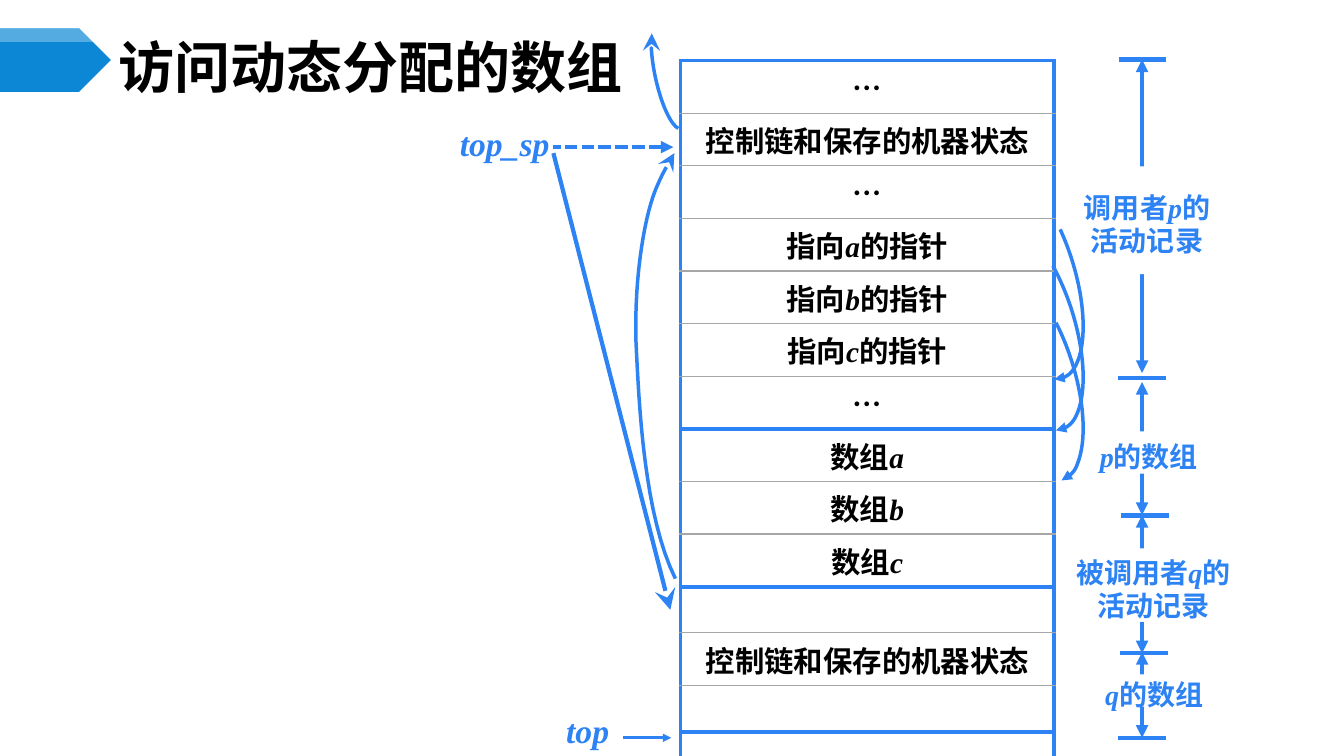
import pptx
import pptx.dml.color
import pptx.enum.dml
import pptx.enum.shapes
import pptx.enum.text
import pptx.oxml.ns
import pptx.util
from lxml import etree

Pt = pptx.util.Pt
hue = pptx.dml.color.RGBColor.from_string
qn = pptx.oxml.ns.qn
kinds = pptx.enum.shapes.MSO_SHAPE
anchors = pptx.enum.text.MSO_ANCHOR
aligns = pptx.enum.text.PP_ALIGN
BLUE = "2D83F4"
SANS = "Noto Sans CJK SC"
SERIF = "Times New Roman"


def write(frame, text, size=20, color=BLUE, align=aligns.CENTER, anchor=anchors.MIDDLE,
          inset=(7.2, 8.64, 7.2, 3.6), pitch=None):
    """Fill a frame with bold text; parts split by | are serif italic when Latin."""
    frame.word_wrap = True
    frame.vertical_anchor = anchor
    frame.margin_left, frame.margin_top, frame.margin_right, frame.margin_bottom = map(Pt, inset)
    para = frame.paragraphs[0]
    para.alignment = align
    if pitch:
        para.line_spacing = Pt(pitch)
    for part in text.split("|"):
        run = para.add_run()
        run.text = part
        font = run.font
        font.size, font.bold, font.italic = Pt(size), True, part.isascii()
        font.color.rgb = hue(color)
        font.name = SERIF if part.isascii() else SANS
        etree.SubElement(font._element, qn("a:ea")).set("typeface", SANS)


def stroke(shape, width, head=None, tail=None, dash=None):
    """Draw a shape's outline in blue, without shadow, with optional arrowheads."""
    shape.line.color.rgb = hue(BLUE)
    shape.line.width = Pt(width)
    if dash:
        shape.line.dash_style = dash
    for tag, kind in (("a:headEnd", head), ("a:tailEnd", tail)):
        if kind:
            tip = etree.SubElement(shape.line._get_or_add_ln(), qn(tag), type=kind)
            if kind == "stealth":
                tip.set("w", "lg")
                tip.set("len", "lg")
    etree.SubElement(shape._element.spPr, qn("a:effectLst"))


deck = pptx.Presentation()
deck.slide_width, deck.slide_height = Pt(960), Pt(540)
slide = deck.slides.add_slide(deck.slide_layouts[6])
shapes = slide.shapes
straight = pptx.enum.shapes.MSO_CONNECTOR.STRAIGHT

# Title and its marker
for top, high, color in ((20.2, 45.4, "0B87D6"), (20.5, 9.4, "FFFFFF")):
    mark = shapes.add_shape(kinds.PENTAGON, Pt(0), Pt(top), Pt(79.2), Pt(high))
    mark.shadow.inherit = False
    mark.fill.solid()
    mark.fill.fore_color.rgb = hue(color)
    mark.line.fill.background()
glow = mark._element.spPr.find(qn("a:solidFill"))[0]
etree.SubElement(glow, qn("a:alpha")).set("val", "30000")
title = shapes.add_textbox(Pt(79.9), Pt(28.7), Pt(832), Pt(37.4))
write(title.text_frame, "访问动态分配的数组", size=40, color="000000",
      align=aligns.LEFT, inset=(5, 3, 5, 3))

# Stack of records
rows = ["…", "控制链和保存的机器状态", "…", "指向|a|的指针", "指向|b|的指针", "指向|c|的指针", "…",
        "数组|a", "数组|b", "数组|c", "", "控制链和保存的机器状态", "", ""]
bold = (0, 7, 10, 13, 14)  # row edges drawn thick
highs = [37.6 if text else 33 for text in rows[:-1]] + [58.3]
stack = shapes.add_table(len(rows), 1, Pt(486), Pt(43.2), Pt(267.1), Pt(sum(highs))).table
stack.first_row = stack.horz_banding = False
for i, text in enumerate(rows):
    stack.rows[i].height = Pt(highs[i])
    cell = stack.cell(i, 0)
    cell.fill.background()
    if text:
        write(cell.text_frame, text, size=21, color="000000", inset=(7.2, 3.6, 7.2, 3.6))
        cell.vertical_anchor = anchors.MIDDLE
    props = cell._tc.get_or_add_tcPr()
    edges = (("L", True), ("R", True), ("T", i in bold), ("B", i + 1 in bold))
    for spot, (side, thick) in enumerate(edges):
        edge = etree.Element(qn("a:ln" + side), w=str(Pt(3 if thick else 1)))
        fill = etree.SubElement(edge, qn("a:solidFill"))
        etree.SubElement(fill, qn("a:srgbClr")).set("val", BLUE if thick else "A6A6A6")
        props.insert(spot, edge)

# Control link from the callee back to the caller
knots = [(482.4, 413.3), (460.1, 367.9), (456.5, 290.9), (454.3, 244.1), (452.9, 196.6),
         (460.8, 150.5), (470.2, 131), (478.8, 111.6), (480.2, 116.6), (481.7, 109.4)]
curve = []
for k in range(0, 9, 3):
    for step in range(1, 17):
        t = step / 16
        mix = ((1 - t) ** 3, 3 * t * (1 - t) ** 2, 3 * t * t * (1 - t), t ** 3)
        curve.append([Pt(sum(m * p[axis] for m, p in zip(mix, knots[k:k + 4]))) for axis in (0, 1)])
pen = shapes.build_freeform(Pt(knots[0][0]), Pt(knots[0][1]))
pen.add_line_segments(curve, close=False)
link = pen.convert_to_shape()
link.fill.background()
stroke(link, 2.5, tail="stealth")

# Straight lines: x1, y1, x2, y2, width, head, tail, dash
dots = pptx.enum.dml.MSO_LINE.SQUARE_DOT
tri = "triangle"
lines = [(479.5, 527, 445, 527, 2, tri, None, None),
         (478.8, 435.6, 395.3, 109.4, 3, "stealth", None, None),
         (481, 105.1, 395.3, 105.1, 3, tri, None, dots)]
for low, high in ((466.6, 367.9), (266.4, 42.5), (527, 465.8), (367.9, 272.9)):
    lines.append((815.8, low, 815.8, high, 3, tri, tri, None))
for left, y in ((799, 42.5), (798.5, 270), (798.5, 527), (799.9, 466.6), (800.6, 368.2)):
    lines.append((left, y, left + 34.2, y, 3, None, None, None))
for x1, y1, x2, y2, width, head, tail, dash in lines:
    line = shapes.add_connector(straight, Pt(x1), Pt(y1), Pt(x2), Pt(y2))
    stroke(line, width, head, tail, dash)

# Labels over the span lines
for text, left, top, wide, high, pitch in (
        ("被调用者|q|的活动记录", 759.6, 391.7, 128.2, 52.6, 24),
        ("调用者|p|的活动记录", 763.9, 118.8, 110.9, 77, 24),
        ("q|的数组", 772.6, 481.7, 103.7, 23, None),
        ("p|的数组", 768.2, 308.2, 105.1, 30.2, None)):
    label = shapes.add_shape(kinds.RECTANGLE, Pt(left), Pt(top), Pt(wide), Pt(high))
    label.shadow.inherit = False
    label.fill.solid()
    label.fill.fore_color.rgb = hue("FFFFFF")
    label.line.fill.background()
    write(label.text_frame, text, pitch=pitch)

# Arcs in front of the labels: outer link, then pointers to arrays a, b, c
arcs = [(468, 14.4, 20.2, 78.5, 167.6, (168.31, 52.3), "stealth")]
for n, turn in enumerate(((159.69, 20.58), (160.18, 28.67), (161.94, 25.6))):
    arcs.append((700.6, 114.5 + 36.4 * n, 66.2, 159.8, 342, turn, tri))
for left, top, wide, high, angle, turn, head in arcs:
    arc = shapes.add_shape(kinds.ARC, Pt(left), Pt(top), Pt(wide), Pt(high))
    arc.adjustments[0], arc.adjustments[1] = turn
    arc.rotation = angle
    arc._element.spPr.xfrm.set("flipV", "1")
    arc.fill.background()
    stroke(arc, 2.5, head=head)

# Stack pointers
for text, left, top, wide, high in (("top", 367.2, 498.2, 105.1, 51.1),
                                    ("top_sp", 311.8, 79.2, 97.2, 56.9)):
    name = shapes.add_textbox(Pt(left), Pt(top), Pt(wide), Pt(high))
    write(name.text_frame, text, size=24, anchor=anchors.TOP)

deck.save("out.pptx")
